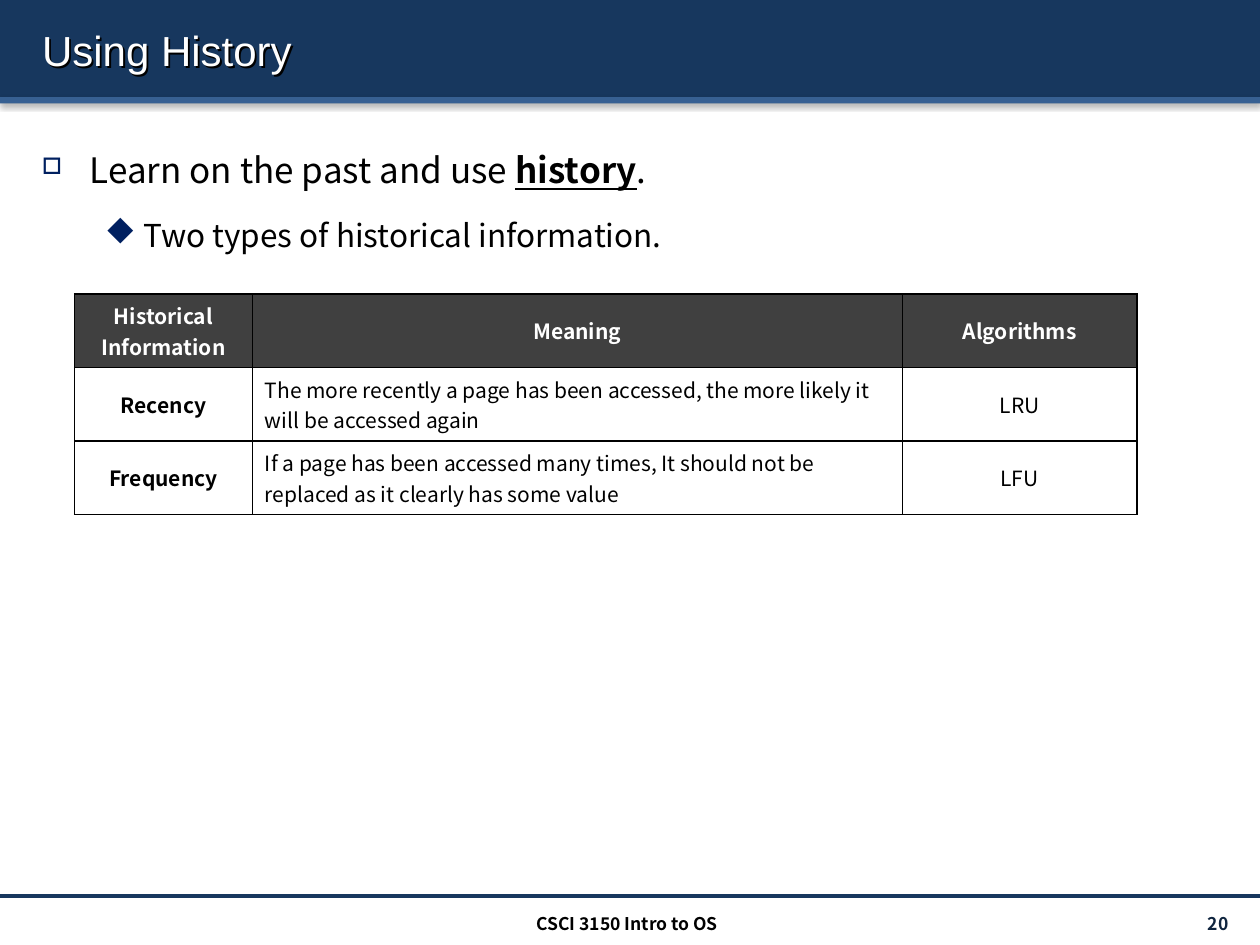
"""Build the "Using History" slide with its table of historical information."""
from dataclasses import dataclass

from lxml import etree
from pptx import Presentation
from pptx import util as u
from pptx.dml.color import RGBColor
from pptx.enum import shapes, text
from pptx.oxml.ns import qn

TITLE = "Using History"
BULLETS = [
    {"runs": [("Learn on the past and use ", False), ("history", True), (".", False)],
     "size": 20, "mark": "o", "scale": 65, "margin": 27.36, "hang": 27.36},
    {"runs": [("Two types of historical information.", False)],
     "size": 18, "mark": "u", "scale": 100, "margin": 58.32, "hang": 22.32},
]
ROWS = [
    ("Historical Information", "Meaning", "Algorithms"),
    ("Recency", "The more recently a page has been accessed, "
     "the more likely it will be accessed again", "LRU"),
    ("Frequency", "If a page has been accessed many times, "
     "It should not be replaced as it clearly has some value", "LFU"),
]
COLUMN_WIDTHS = (101.5, 371.5, 134)
ROW_HEIGHT = 42
WIDTH, HEIGHT = 720, 540
BODY_LEFT, BODY_WIDTH = 16.8, 692
BANNER_HEIGHT, STRIPE_HEIGHT = 55.44, 3.6
FOOTER_TOP = 512


@dataclass(frozen=True)
class Theme:
    title_font: str = "Arial"
    body_font: str = "Noto Sans CJK KR"
    bullet_font: str = "Wingdings"
    navy: str = "17375E"
    blue: str = "376092"
    bullet: str = "002060"
    number: str = "0F243E"
    header: str = "404040"
    white: str = "FFFFFF"
    black: str = "000000"
    title_size: int = 24
    table_size: int = 12
    footer_size: int = 10


THEME = Theme()
LEFT, CENTER, RIGHT = text.PP_ALIGN.LEFT, text.PP_ALIGN.CENTER, text.PP_ALIGN.RIGHT
MIDDLE = text.MSO_ANCHOR.MIDDLE


def rgb(value):
    return RGBColor.from_string(value)


def points(*values):
    return [u.Pt(value) for value in values]


def add(parent, tag, **attributes):
    return etree.SubElement(parent, qn(tag), {key: str(value) for key, value in attributes.items()})


def add_shadow(shape, blur, distance, angle, opacity):
    effects = add(shape.element.spPr, "a:effectLst")
    shadow = add(effects, "a:outerShdw", blurRad=u.Pt(blur), dist=u.Pt(distance),
                 dir=angle * 60000, algn="ctr", rotWithShape=0)
    add(add(shadow, "a:srgbClr", val=THEME.black), "a:alpha", val=opacity * 1000)


def add_span(para, words, size, color=THEME.black, bold=False, font=THEME.body_font):
    span = para.add_run()
    span.text = words
    span.font.name, span.font.size, span.font.bold = font, u.Pt(size), bold
    span.font.color.rgb = rgb(color)
    add(span._r.get_or_add_rPr(), "a:ea", typeface=font)
    return span


def add_bar(page, top, height, color):
    bar = page.shapes.add_shape(shapes.MSO_SHAPE.RECTANGLE, *points(0, top, WIDTH, height))
    bar.fill.solid()
    bar.fill.fore_color.rgb = rgb(color)
    bar.line.fill.background()
    add_shadow(bar, 3.1, 1.6, 90, 38)
    page.shapes.title.element.addprevious(bar.element)


def add_frame(page):
    add_bar(page, 0, BANNER_HEIGHT, THEME.navy)
    add_bar(page, BANNER_HEIGHT, STRIPE_HEIGHT, THEME.blue)
    rule = page.shapes.add_connector(shapes.MSO_CONNECTOR.STRAIGHT,
                                     *points(0, FOOTER_TOP, WIDTH, FOOTER_TOP))
    rule.line.color.rgb = rgb(THEME.navy)
    rule.line.width = u.Pt(2)
    add(rule.element.spPr, "a:effectLst")


def fill_title(title):
    title.left, title.top, title.width, title.height = points(BODY_LEFT, 5.4, BODY_WIDTH, 46)
    title.fill.background()
    title.line.fill.background()
    add_shadow(title, 0, 1.5, 45, 100)
    title.text_frame.vertical_anchor = MIDDLE
    para = title.text_frame.paragraphs[0]
    para.alignment = LEFT
    add_span(para, TITLE, THEME.title_size, THEME.white, font=THEME.title_font)


def add_bullets(page):
    box = page.shapes.add_textbox(*points(BODY_LEFT, 69.3, BODY_WIDTH, 433))
    box.text_frame.word_wrap = True
    for level, item in enumerate(BULLETS):
        para = box.text_frame.add_paragraph() if level else box.text_frame.paragraphs[0]
        para.level = level
        para.line_spacing = 1.5
        para.space_before = u.Pt(item["size"] * 0.2)
        for words, strong in item["runs"]:
            span = add_span(para, words, item["size"], bold=strong)
            span.font.underline = strong
        properties = para._p.get_or_add_pPr()
        properties.set("marL", str(u.Pt(item["margin"])))
        properties.set("indent", str(-u.Pt(item["hang"])))
        add(add(properties, "a:buClr"), "a:srgbClr", val=THEME.bullet)
        add(properties, "a:buSzPct", val=item["scale"] * 1000)
        add(properties, "a:buFont", typeface=THEME.bullet_font, pitchFamily=2, charset=2)
        add(properties, "a:buChar", char=item["mark"])


def fill_cell(cell, words, is_header, column):
    is_meaning = column == 1 and not is_header
    properties = cell._tc.get_or_add_tcPr()
    for side in ("a:lnL", "a:lnR", "a:lnT", "a:lnB"):
        edge = add(properties, side, w=u.Pt(1))
        add(add(edge, "a:solidFill"), "a:srgbClr", val=THEME.black)
    cell.fill.solid()
    cell.fill.fore_color.rgb = rgb(THEME.header if is_header else THEME.white)
    cell.vertical_anchor = MIDDLE
    para = cell.text_frame.paragraphs[0]
    para.alignment = LEFT if is_meaning else CENTER
    add_span(para, words, THEME.table_size, THEME.white if is_header else THEME.black,
             bold=is_header or column == 0)


def add_history_table(page):
    frame = page.shapes.add_table(
        len(ROWS), len(COLUMN_WIDTHS),
        *points(42.7, 168, sum(COLUMN_WIDTHS), ROW_HEIGHT * len(ROWS)))
    for column, width in zip(frame.table.columns, COLUMN_WIDTHS):
        column.width = u.Pt(width)
    for row, entries in enumerate(ROWS):
        frame.table.rows[row].height = u.Pt(ROW_HEIGHT)
        for column, words in enumerate(entries):
            fill_cell(frame.table.cell(row, column), words, row == 0, column)


def add_footer(page, words, left, width, align, color):
    box = page.shapes.add_textbox(*points(left, 519, width, 17.28))
    box.text_frame.word_wrap = True
    box.text_frame.vertical_anchor = MIDDLE
    para = box.text_frame.paragraphs[0]
    para.alignment = align
    add_span(para, words, THEME.footer_size, color, bold=True)


def main():
    deck = Presentation()
    deck.slide_width, deck.slide_height = points(WIDTH, HEIGHT)
    page = deck.slides.add_slide(deck.slide_layouts[5])
    add_frame(page)
    fill_title(page.shapes.title)
    add_bullets(page)
    add_history_table(page)
    add_footer(page, "20 ", 627.12, 84.24, RIGHT, THEME.number)
    add_footer(page, "CSCI 3150 Intro to OS", 238.8, 239.04, CENTER, THEME.black)
    deck.save("out.pptx")


if __name__ == "__main__":
    main()
